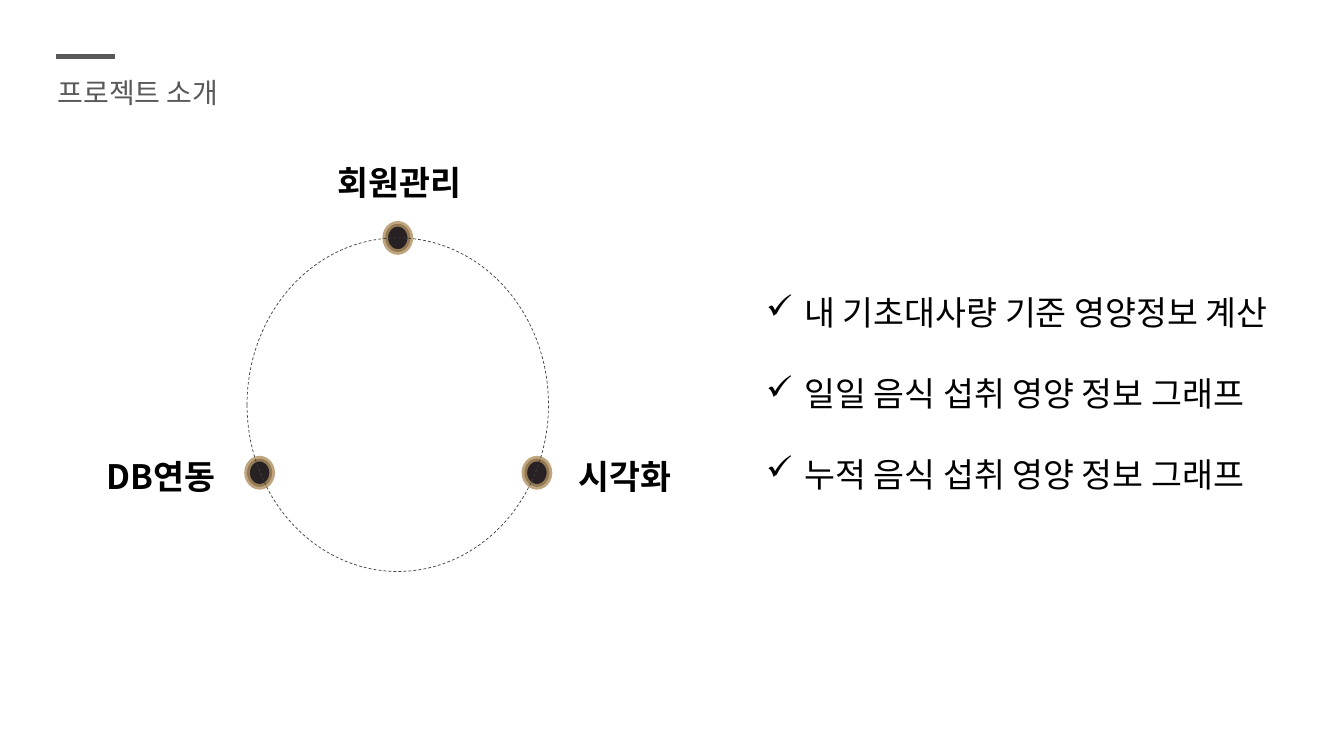
import pptx
import pptx.util
import pptx.dml.color
import pptx.enum.dml
import pptx.enum.shapes
import pptx.enum.text
import pptx.oxml
import pptx.oxml.ns
from lxml import etree

Inches, Pt = pptx.util.Inches, pptx.util.Pt
ALIGN = pptx.enum.text.PP_ALIGN
OVAL = pptx.enum.shapes.MSO_SHAPE.OVAL
DASH = pptx.enum.dml.MSO_LINE.DASH

# Content
TITLE = "프로젝트 소개"
FEATURES = [  # label, label box, dot position
    ("회원관리", (2.83, 1.56, 2.26, 0.5), (3.82, 2.22)),
    ("DB연동", (0.85, 4.47, 1.5, 0.5), (2.45, 4.55)),
    ("시각화", (5.45, 4.47, 1.5, 0.5), (5.2, 4.55)),
]
BENEFITS = [
    "내 기초대사량 기준 영양정보 계산",
    "일일 음식 섭취 영양 정보 그래프",
    "누적 음식 섭취 영양 정보 그래프",
]

# Style
FONT = "Noto Sans CJK KR"
COLORS = {"title": "595959", "text": "000000", "dot": "272123",
          "halo": "AF9061", "ring": "404040"}
DOT_SIZE = (0.25, 0.28)
RING_BOX = (2.45, 2.36, 2.99, 3.31)
BENEFITS_BOX = (7.5, 2.85, 5.51, 2.12)
LINE_HEIGHT = Pt(28.8)
BULLET_INDENT = Inches(0.38)
TITLE_FORMAT = {"size": Pt(20), "bold": False, "name": FONT}
LABEL_FORMAT = {"size": Pt(24), "bold": True, "name": FONT}
BENEFIT_FORMAT = {"size": Pt(24), "bold": False, "name": FONT}


def rgb(name):
    return pptx.dml.color.RGBColor.from_string(COLORS[name])


def inches(values):
    return [Inches(value) for value in values]


def write(paragraph, text, font_format, color, alignment, line_height):
    paragraph.alignment = alignment
    paragraph.line_spacing = line_height
    run = paragraph.add_run()
    run.text = text
    run.font.color.rgb = rgb(color)
    for attribute, value in font_format.items():
        setattr(run.font, attribute, value)
    properties = run._r.get_or_add_rPr()
    east_asian = etree.SubElement(properties, pptx.oxml.ns.qn("a:ea"))
    east_asian.set("typeface", FONT)


def add_text_box(box):
    frame = slide.shapes.add_textbox(*inches(box)).text_frame
    frame.word_wrap = True
    return frame


def add_oval(box, line_color, line_width):
    oval = slide.shapes.add_shape(OVAL, *inches(box))
    oval.shadow.inherit = False
    oval.line.color.rgb = rgb(line_color)
    oval.line.width = Pt(line_width)
    return oval


def add_check_bullet(paragraph):
    properties = paragraph._p.get_or_add_pPr()
    properties.set("marL", str(BULLET_INDENT))
    properties.set("indent", str(-BULLET_INDENT))
    bullet = etree.SubElement(properties, pptx.oxml.ns.qn("a:buChar"))
    bullet.set("char", "✓")


presentation = pptx.Presentation()
presentation.slide_width, presentation.slide_height = inches((13.33, 7.5))
slide = presentation.slides.add_slide(presentation.slide_layouts[5])

# Title with its accent line
title = slide.shapes.title
title.left, title.top, title.width, title.height = inches((0.47, 0.73, 3.11, 0.41))
title_frame = title.text_frame
title_frame.auto_size = pptx.enum.text.MSO_AUTO_SIZE.NONE
title_frame.vertical_anchor = pptx.enum.text.MSO_ANCHOR.TOP
write(title_frame.paragraphs[0], TITLE, TITLE_FORMAT, "title", ALIGN.LEFT, Pt(22))

accent = slide.shapes.add_connector(
    pptx.enum.shapes.MSO_CONNECTOR.STRAIGHT, *inches((0.56, 0.56, 1.14, 0.56)))
accent.line.color.rgb = rgb("title")
accent.line.width = Pt(3.5)
etree.SubElement(accent._element.spPr, pptx.oxml.ns.qn("a:effectLst"))

# Dots and their labels
for label, label_box, dot_position in FEATURES:
    dot = add_oval(dot_position + DOT_SIZE, "halo", 4)
    dot.fill.solid()
    dot.fill.fore_color.rgb = rgb("dot")
    halo_color = dot.line._ln.find(".//" + pptx.oxml.ns.qn("a:srgbClr"))
    etree.SubElement(halo_color, pptx.oxml.ns.qn("a:alpha")).set("val", "80000")
    write(add_text_box(label_box).paragraphs[0], label, LABEL_FORMAT, "text",
          ALIGN.CENTER, LINE_HEIGHT)

# Dashed ring through the dots
ring = add_oval(RING_BOX, "ring", 0.5)
ring.fill.background()
ring.line.dash_style = DASH

# Checked benefits
benefits_frame = add_text_box(BENEFITS_BOX)
for index, benefit in enumerate(BENEFITS):
    paragraph = benefits_frame.add_paragraph() if index else benefits_frame.paragraphs[0]
    add_check_bullet(paragraph)
    if index:
        paragraph.space_before = LINE_HEIGHT
    write(paragraph, benefit, BENEFIT_FORMAT, "text", ALIGN.LEFT, LINE_HEIGHT)

presentation.save("out.pptx")
